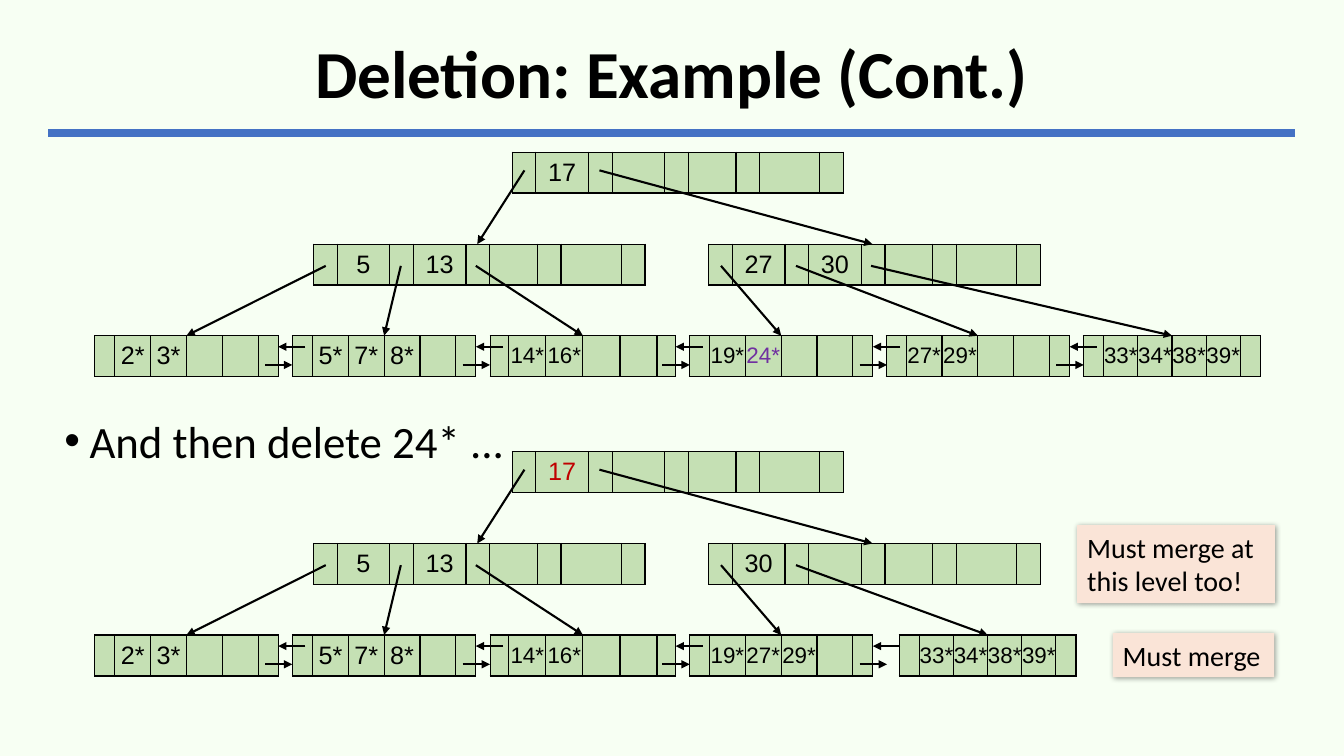
from lxml.etree import SubElement
from pptx import Presentation
from pptx.dml.color import RGBColor
from pptx.enum.shapes import MSO_CONNECTOR as Connector, MSO_SHAPE as Shape
from pptx.enum.text import MSO_ANCHOR as Anchor, PP_ALIGN as Align
from pptx.oxml.ns import qn
from pptx.util import Pt

rgb = RGBColor.from_string
BLACK = "000000"
NODE_FILL = "C5E0B4"
ROW_HEIGHT = 29.2
INNER_WIDTHS = [17, 37.5, 17, 37.5, 17, 34, 17, 43, 17]
INNER_MIDDLE = 117
LEAF = [14.3] + [25.6] * 4 + [14.3]
WIDE_LEAF = [13.2] + [26.5] * 4 + [13.2]
NARROW_LEAF = [14.4] + [24.4] * 4 + [14.4]
ROOT_LEFT, ROOT_TOP, INNER_TOP, LEAF_TOP = 365.8, 108.7, 174.4, 239.8
SLOT_MIDDLE, SLOT_PITCH = 8.8, 53.6
TREE_PITCH = 213.8

deck = Presentation()
deck.slide_width, deck.slide_height = Pt(960), Pt(540)
page = deck.slides.add_slide(deck.slide_layouts[6])
page.background.fill.solid()
page.background.fill.fore_color.rgb = rgb("F7FFF3")


def draw_line(start, end, color=BLACK, width=1.5, arrow=True):
    line = page.shapes.add_connector(Connector.STRAIGHT, *map(Pt, start + end))
    line.line.color.rgb = rgb(color)
    line.line.width = Pt(width)
    if arrow:
        SubElement(line.line._get_or_add_ln(), qn("a:tailEnd"), type="triangle")
    SubElement(line._element.spPr, qn("a:effectLst"))


def draw_node(left, top, widths, keys, key_step, accents):
    frame = page.shapes.add_table(
        1, len(widths), Pt(left), Pt(top), Pt(sum(widths)), Pt(ROW_HEIGHT))
    table = frame.table
    table.first_row = table.horz_banding = False
    for index, width in enumerate(widths):
        table.columns[index].width = Pt(width)
        cell = table.cell(0, index)
        cell.vertical_anchor = Anchor.MIDDLE
        cell.margin_left = cell.margin_right = 0
        cell.margin_top = cell.margin_bottom = 0
        for side in ("a:lnL", "a:lnR", "a:lnT", "a:lnB"):
            border = SubElement(cell._tc.get_or_add_tcPr(), qn(side), w=str(Pt(1)))
            SubElement(SubElement(border, qn("a:solidFill")), qn("a:srgbClr"), val=BLACK)
        cell.fill.solid()
        cell.fill.fore_color.rgb = rgb(NODE_FILL)
    for index, key in enumerate(keys):
        para = table.cell(0, 1 + index * key_step).text_frame.paragraphs[0]
        para.text = key
        para.alignment = Align.CENTER
        para.font.name = "Arial"
        para.font.size = Pt(16 if len(key) == 3 else 18)
        para.font.color.rgb = rgb(accents.get(key, BLACK))


draw_line((34.6, 95), (925.2, 95), "4472C4", 6, arrow=False)

title = page.shapes.add_textbox(Pt(34.6), Pt(17.3), Pt(890.6), Pt(74.9))
title.text_frame.word_wrap = True
title.text_frame.vertical_anchor = Anchor.MIDDLE
para = title.text_frame.paragraphs[0]
para.text = "Deletion: Example (Cont.)"
para.alignment = Align.CENTER
para.line_spacing = 0.9
para.font.name, para.font.size, para.font.bold = "Calibri", Pt(48), True
para.font.color.rgb = rgb(BLACK)

step = page.shapes.add_textbox(Pt(38.9), Pt(291.6), Pt(345), Pt(46.3))
step.text_frame.word_wrap = True
para = step.text_frame.paragraphs[0]
para.text = "And then delete 24* ..."
properties = para._p.get_or_add_pPr()
properties.set("marL", str(Pt(18)))
properties.set("indent", str(Pt(-18)))
SubElement(properties, qn("a:buFont"), typeface="Arial")
SubElement(properties, qn("a:buChar"), char="•")
para.font.name, para.font.size = "Calibri", Pt(32)
para.font.color.rgb = rgb(BLACK)

left_branch = (223.9, ["5", "13"], [
    (67.7, LEAF, ["2*", "3*"]),
    (208.9, LEAF, ["5*", "7*", "8*"]),
    (350.2, WIDE_LEAF, ["14*", "16*"]),
])
trees = [
    ({"24*": "7030A0"}, [left_branch, (506.2, ["27", "30"], [
        (492.5, LEAF, ["19*", "24*"]),
        (633, LEAF, ["27*", "29*"]),
        (774, NARROW_LEAF, ["33*", "34*", "38*", "39*"]),
    ])]),
    ({"17": "C00000"}, [left_branch, (506.2, ["30"], [
        (492.5, LEAF, ["19*", "27*", "29*"]),
        (642.3, NARROW_LEAF, ["33*", "34*", "38*", "39*"]),
    ])]),
]

for tree_index, (accents, branches) in enumerate(trees):
    shift = tree_index * TREE_PITCH
    root_top, inner_top, leaf_top = (
        top + shift for top in (ROOT_TOP, INNER_TOP, LEAF_TOP))
    draw_node(ROOT_LEFT, root_top, INNER_WIDTHS, ["17"], 2, accents)
    leaf_ends = []
    for branch, (inner_left, keys, leaves) in enumerate(branches):
        draw_node(inner_left, inner_top, INNER_WIDTHS, keys, 2, accents)
        draw_line((ROOT_LEFT + SLOT_MIDDLE + branch * SLOT_PITCH, root_top + 13),
                  (inner_left + INNER_MIDDLE, inner_top))
        for slot, (leaf_left, widths, entries) in enumerate(leaves):
            draw_node(leaf_left, leaf_top, widths, entries, 1, accents)
            draw_line((inner_left + SLOT_MIDDLE + slot * SLOT_PITCH, inner_top + 15.5),
                      (leaf_left + sum(widths) / 2, leaf_top))
            leaf_ends.append(leaf_left + sum(widths))
    for end in leaf_ends[:-1]:
        draw_line((end + 19.5, leaf_top + 7.9), (end, leaf_top + 7.9))
        draw_line((end - 9.4, leaf_top + 20.9), (end + 10.1, leaf_top + 20.9))

notes = [
    ("Must merge", 794.9, 452.2, 115.2, 31.5),
    ("Must merge at this level too!", 769.5, 375.1, 141.1, 55.7),
]
for text, left, top, width, height in notes:
    note = page.shapes.add_shape(
        Shape.RECTANGLE, Pt(left), Pt(top), Pt(width), Pt(height))
    note.fill.solid()
    note.fill.fore_color.rgb = rgb("FAE4D7")
    note.line.fill.background()
    note.shadow.inherit = False
    shadow = SubElement(
        note._element.spPr.find(qn("a:effectLst")), qn("a:outerShdw"),
        blurRad=str(Pt(4)), dist=str(Pt(1)), dir="2700000")
    SubElement(SubElement(shadow, qn("a:srgbClr"), val=BLACK), qn("a:alpha"), val="40000")
    note.text_frame.word_wrap = True
    note.text_frame.vertical_anchor = Anchor.TOP
    para = note.text_frame.paragraphs[0]
    para.text = text
    para.alignment = Align.LEFT
    para.font.name, para.font.size = "Calibri", Pt(20)
    para.font.color.rgb = rgb(BLACK)

deck.save("out.pptx")
